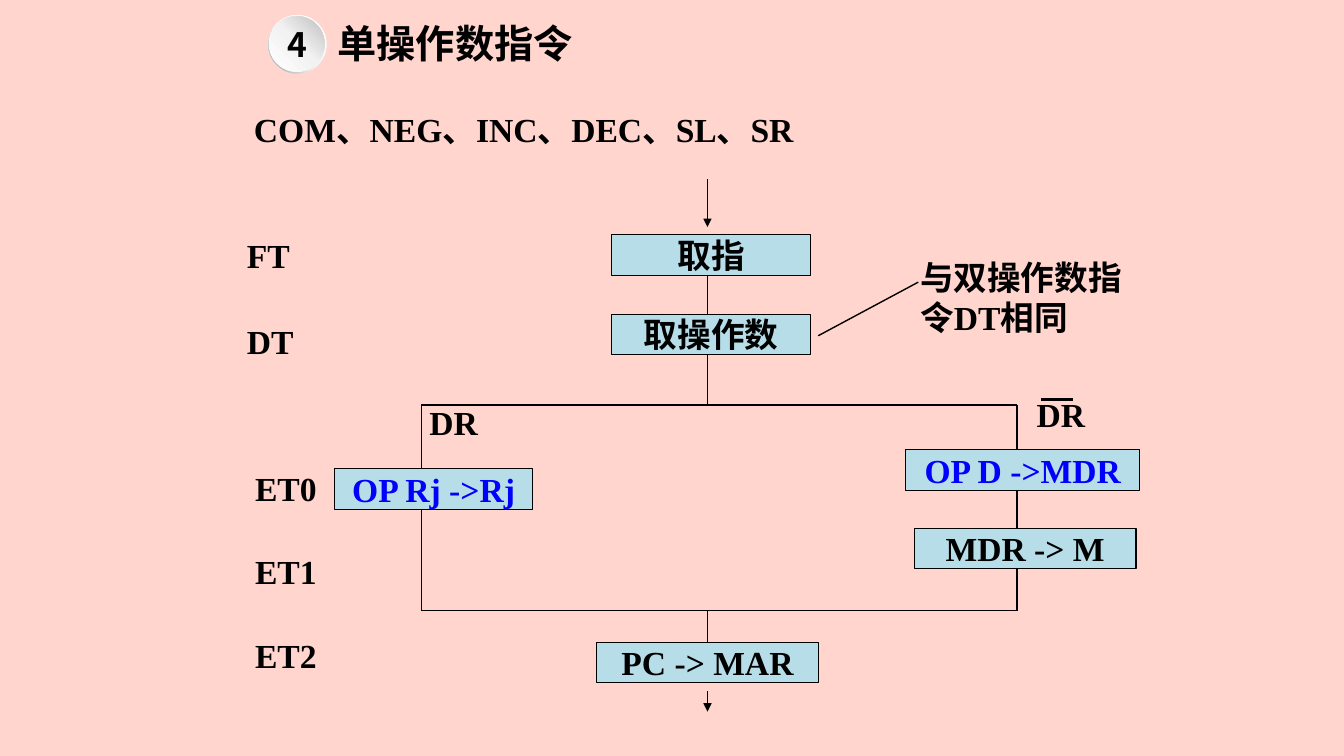
import copy

import pptx
import pptx.dml.color
import pptx.enum.shapes
import pptx.enum.text
import pptx.oxml
import pptx.oxml.ns
import pptx.util

Cm = pptx.util.Cm
Pt = pptx.util.Pt
SHAPE = pptx.enum.shapes.MSO_SHAPE
ALIGN = pptx.enum.text.PP_ALIGN
ANCHOR = pptx.enum.text.MSO_ANCHOR
qn = pptx.oxml.ns.qn

LATIN = "Times New Roman"
CJK = "Noto Sans CJK SC"
TRUNK, LEFT, RIGHT = 17.83, 10.62, 25.63
FORK, MERGE = 10.21, 15.39
BOX_HEIGHT = 1.02


def colour(value):
    return pptx.dml.color.RGBColor.from_string(value)


def sub(parent, tag, **attributes):
    child = pptx.oxml.parse_xml(f"<{tag} {pptx.oxml.ns.nsdecls('a')}/>")
    for name, value in attributes.items():
        child.set(name, value)
    parent.append(child)


def write(s, text, size=24, rgb="000000", align=ALIGN.LEFT, font=LATIN):
    tf = s.text_frame
    tf.text = text
    p = tf.paragraphs[0]
    p.alignment = align
    r = p.runs[0]
    r.font.size = Pt(size)
    r.font.bold = True
    r.font.name = font
    r.font.color.rgb = colour(rgb)
    sub(r.font._element, "a:ea", typeface=CJK)


def no_margins(tf):
    tf.margin_left = tf.margin_top = tf.margin_right = tf.margin_bottom = 0


def add_text(shapes, text, x, y, w, h, size=24):
    s = shapes.add_textbox(Cm(x), Cm(y), Cm(w), Cm(h))
    s.text_frame.word_wrap = True
    write(s, text, size)


def add_label(shapes, text, x, y, w=2.21, align=ALIGN.LEFT):
    s = shapes.add_textbox(Cm(x), Cm(y), Cm(w), Cm(BOX_HEIGHT))
    s.text_frame.word_wrap = True
    no_margins(s.text_frame)
    write(s, text, align=align)


def add_box(shapes, text, x, y, w, rgb="000000"):
    s = shapes.add_shape(SHAPE.RECTANGLE, Cm(x), Cm(y), Cm(w), Cm(BOX_HEIGHT))
    s.shadow.inherit = False
    s.fill.solid()
    s.fill.fore_color.rgb = colour("B7DEE8")
    s.line.color.rgb = colour("000000")
    s.line.width = Pt(0.75)
    tf = s.text_frame
    no_margins(tf)
    tf.word_wrap = True
    tf.vertical_anchor = ANCHOR.TOP
    write(s, text, rgb=rgb, align=ALIGN.CENTER)
    return s


def add_line(shapes, x1, y1, x2, y2, width=1, arrow=False):
    s = shapes.add_connector(
        pptx.enum.shapes.MSO_CONNECTOR.STRAIGHT, Cm(x1), Cm(y1), Cm(x2), Cm(y2)
    )
    s.line.color.rgb = colour("000000")
    s.line.width = Pt(width)
    if arrow:
        sub(s.line._get_or_add_ln(), "a:tailEnd", type="triangle")
    sub(s._element.spPr, "a:effectLst")
    return s


def add_gradient_disc(shapes, kind, x, y, size, stops, angle):
    s = shapes.add_shape(kind, Cm(x), Cm(y), Cm(size), Cm(size))
    s.shadow.inherit = False
    s.line.fill.background()
    s.fill.gradient()
    s.fill.gradient_angle = angle
    stop_list = s._element.spPr.find(".//" + qn("a:gsLst"))
    stop_list.append(copy.deepcopy(stop_list[0]))
    for stop, (position, rgb) in zip(s.fill.gradient_stops, stops):
        stop.position = position
        stop.color.rgb = colour(rgb)
    return s


def add_badge(shapes, number):
    group = shapes.add_group_shape().shapes
    ring = add_gradient_disc(
        group, SHAPE.DONUT, 6.76, 0.38, 1.47,
        [(0, "FFFFFF"), (0.55, "F2F2F2"), (1, "A6A6A6")], 225,
    )
    ring.adjustments[0] = 0.05
    disc = add_gradient_disc(
        group, SHAPE.OVAL, 6.78, 0.41, 1.4,
        [(0, "FFFFFF"), (0.51, "F2F2F2"), (1, "BFBFBF")], 45,
    )
    disc.text_frame.vertical_anchor = ANCHOR.MIDDLE
    write(disc, number, align=ALIGN.CENTER, font=CJK)


def add_flow(shapes):
    add_line(shapes, TRUNK, 4.52, TRUNK, 5.72, arrow=True)
    add_line(shapes, TRUNK, 6.73, TRUNK, FORK)
    for x in (LEFT, RIGHT):
        add_line(shapes, x, FORK, x, MERGE)
    for y in (FORK, MERGE):
        add_line(shapes, LEFT, y, RIGHT, y)

    add_box(shapes, "取指", 15.42, 5.92, 5)
    add_box(shapes, "取操作数", 15.42, 7.92, 5)
    add_box(shapes, "OP Rj ->Rj", 8.43, 11.81, 5, "0000FF")
    add_box(shapes, "OP D ->MDR", 22.83, 11.33, 5.89, "0000FF")
    add_box(shapes, "MDR -> M", 23.04, 13.31, 5.59)
    last = add_box(shapes, "PC -> MAR", 15.03, 16.18, 5.6)
    add_line(shapes, TRUNK, MERGE, TRUNK, 16.18).end_connect(last, 0)
    add_line(shapes, TRUNK, 17.42, TRUNK, 17.93, arrow=True)


def add_labels(shapes):
    for text, x, y in (
        ("FT", 6.22, 5.92),
        ("DT", 6.22, 8.08),
        ("ET0", 6.43, 11.79),
        ("ET1", 6.43, 13.87),
        ("ET2", 6.43, 16),
    ):
        add_label(shapes, text, x, y)
    add_label(shapes, "DR", 10.82, 10.13, 2.79)
    add_label(shapes, "DR", RIGHT, 9.93, align=ALIGN.CENTER)
    add_line(shapes, 26.24, 10.06, 27.03, 10.06, width=2)


def main():
    prs = pptx.Presentation()
    prs.slide_width = Cm(33.87)
    prs.slide_height = Cm(19.05)
    slide = prs.slides.add_slide(prs.slide_layouts[6])
    slide.background.fill.solid()
    slide.background.fill.fore_color.rgb = colour("FFD5CD")
    shapes = slide.shapes

    add_badge(shapes, "4")
    add_text(shapes, "单操作数指令", 8.26, 0.36, 7.19, 1.45, size=28)
    add_text(shapes, "COM、NEG、INC、DEC、SL、SR", 6.15, 2.62, 21.31, 1.27)
    add_flow(shapes)
    add_labels(shapes)
    add_line(shapes, 23.14, 7.11, 20.62, 8.46)
    add_text(shapes, "与双操作数指令DT相同", 22.94, 6.35, 6.32, 2.31)
    prs.save("out.pptx")


if __name__ == "__main__":
    main()
